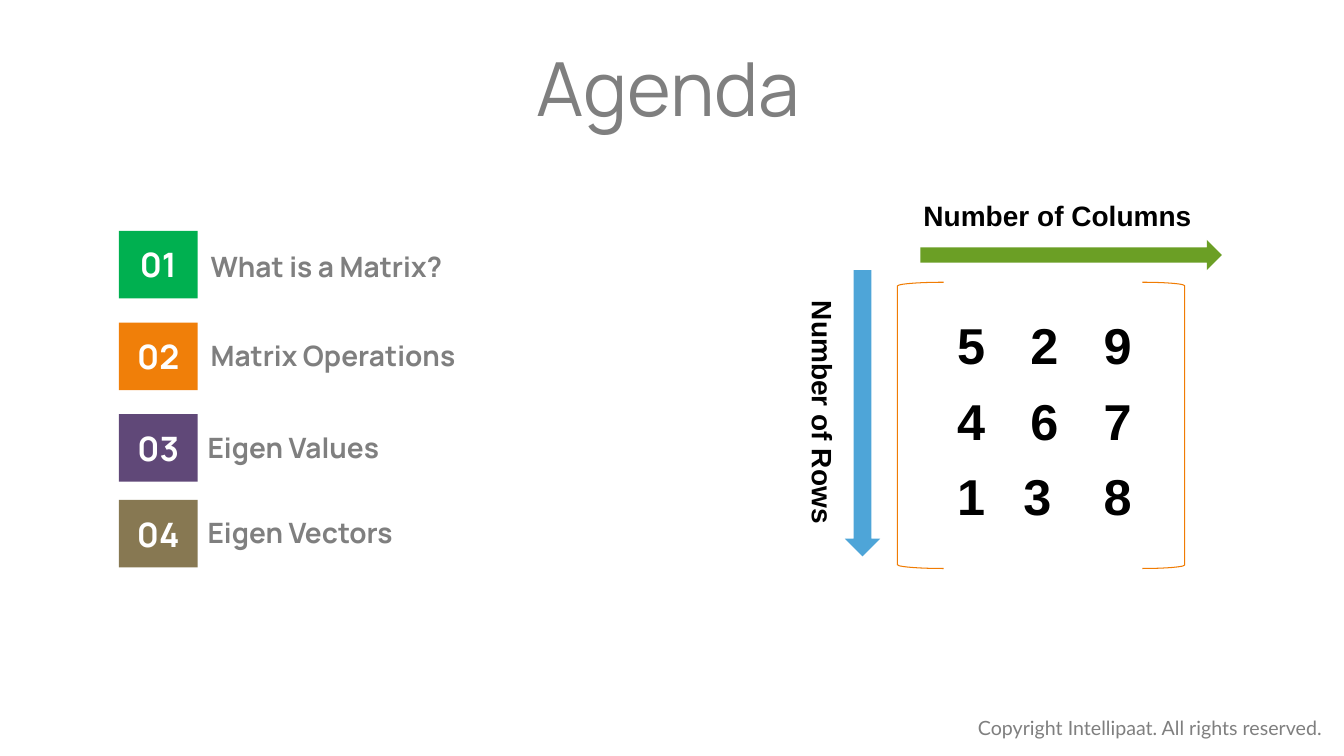
from collections import namedtuple
from dataclasses import dataclass

from pptx import Presentation
from pptx.dml.color import RGBColor
from pptx.enum.shapes import MSO_SHAPE
from pptx.enum.text import MSO_ANCHOR, PP_ALIGN
from pptx.util import Inches, Pt

RECT, RIGHT_ARROW, DOWN_ARROW = MSO_SHAPE.RECTANGLE, MSO_SHAPE.RIGHT_ARROW, MSO_SHAPE.DOWN_ARROW
LEFT_BRACKET, RIGHT_BRACKET = MSO_SHAPE.LEFT_BRACKET, MSO_SHAPE.RIGHT_BRACKET
LEFT, CENTER = PP_ALIGN.LEFT, PP_ALIGN.CENTER
TOP, MIDDLE = MSO_ANCHOR.TOP, MSO_ANCHOR.MIDDLE

Style = namedtuple("Style", "font size color bold")


@dataclass(frozen=True)
class Theme:
    title: Style = Style("Manrope", 53.3, "7F7F7F", False)
    number: Style = Style("Manrope", 24, "FFFFFF", True)
    topic: Style = Style("Manrope", 20, "7F7F7F", True)
    axis: Style = Style("Arial", 20, "000000", True)
    entry: Style = Style("Arial", 36, "000000", True)
    footer: Style = Style("Lato", 14, "7F7F7F", False)
    columns_arrow: str = "6B9F25"
    rows_arrow: str = "4EA5D8"
    bracket: str = "F07C03"
    bracket_width: float = 0.75


THEME = Theme()

# Number, topic, tile colour, tile top, label left, label drop (percent of the agenda box)
TOPICS = [
    ("01", "What is a Matrix?", "00B050", 0, 17.92, 4.19),
    ("02", "Matrix Operations", "F07F09", 27.25, 17.92, 3.29),
    ("03", "Eigen Values", "604878", 54.49, 17.26, 3.29),
    ("04", "Eigen Vectors", "877852", 79.94, 17.26, 3.29),
]
MATRIX = [["5", "2", "9"], ["4", "6", "7"], ["1", "3 ", "8"]]


@dataclass(frozen=True)
class Box:
    left: int
    top: int
    width: int
    height: int

    def inner(self, x, y, w, h):
        """Return a box inside this one, given in percent of its size."""
        return Box(self.left + round(self.width * x / 100),
                   self.top + round(self.height * y / 100),
                   round(self.width * w / 100), round(self.height * h / 100))

    def place(self):
        return self.left, self.top, self.width, self.height


def write(tf, text, style, align=LEFT, anchor=TOP):
    tf.word_wrap = True
    tf.vertical_anchor = anchor
    p = tf.paragraphs[0]
    p.alignment = align
    r = p.add_run()
    r.text = text
    r.font.name, r.font.size, r.font.bold = style.font, Pt(style.size), style.bold
    r.font.color.rgb = RGBColor.from_string(style.color)


def add_label(s, box, text, style, align=LEFT):
    tb = s.shapes.add_textbox(*box.place())
    write(tb.text_frame, text, style, align)
    return tb


def add_block(s, kind, box, color):
    sp = s.shapes.add_shape(kind, *box.place())
    sp.shadow.inherit = False
    sp.fill.solid()
    sp.fill.fore_color.rgb = RGBColor.from_string(color)
    sp.line.fill.background()
    return sp


def add_bracket(s, kind, box):
    sp = s.shapes.add_shape(kind, *box.place())
    sp.shadow.inherit = False
    sp.fill.background()
    sp.line.color.rgb = RGBColor.from_string(THEME.bracket)
    sp.line.width = Pt(THEME.bracket_width)


def add_title(s, box):
    tf = add_label(s, box, "Agenda", THEME.title, CENTER).text_frame
    tf.margin_left = 0
    tf.paragraphs[0].line_spacing = 0.9


def add_agenda(s, box):
    for number, topic, color, top, label_left, drop in TOPICS:
        tile = add_block(s, RECT, box.inner(0, top, 17.26, 20.06), color)
        write(tile.text_frame, number, THEME.number, CENTER, MIDDLE)
        add_label(s, box.inner(label_left, top + drop, 80, 13.17), topic, THEME.topic)


def add_entries(s, box):
    table = s.shapes.add_table(len(MATRIX), len(MATRIX[0]), *box.place()).table
    table.first_row = table.horz_banding = False
    for i, row in enumerate(MATRIX):
        for j, value in enumerate(row):
            cell = table.cell(i, j)
            cell.fill.background()
            cell.vertical_anchor = MIDDLE
            write(cell.text_frame, value, THEME.entry, CENTER, MIDDLE)


def add_matrix(s, box):
    # Brackets and numbers
    add_bracket(s, LEFT_BRACKET, box.inner(22.86, 23.66, 10.95, 76.34))
    add_bracket(s, RIGHT_BRACKET, box.inner(80.71, 23.66, 10, 76.34))
    add_entries(s, box.inner(31.67, 30.91, 51.9, 60.48))
    # Arrows and their labels
    add_block(s, RIGHT_ARROW, box.inner(28.33, 12.37, 71.19, 8.06), THEME.columns_arrow)
    add_block(s, DOWN_ARROW, box.inner(10.48, 20.43, 8.33, 76.34), THEME.rows_arrow)
    rows = add_label(s, box.inner(-29.76, 52.42, 70, 11.83), "Number of Rows", THEME.axis, CENTER)
    rows.rotation = 90
    add_label(s, box.inner(25.71, 0, 70, 11.83), "Number of Columns", THEME.axis, CENTER)


def add_footer(s, box):
    add_label(s, box, "Copyright Intellipaat. All rights reserved.", THEME.footer)


def main():
    prs = Presentation()
    prs.slide_width, prs.slide_height = Inches(13.33), Inches(7.5)
    s = prs.slides.add_slide(prs.slide_layouts[6])
    page = Box(0, 0, prs.slide_width, prs.slide_height)
    add_footer(s, page.inner(72.02, 94, 27.83, 4.53))
    add_title(s, page.inner(27.31, 6.27, 45.54, 11.2))
    add_agenda(s, page.inner(8.85, 30.53, 33.91, 44.53))
    add_matrix(s, page.inner(59.56, 25.6, 31.51, 49.6))
    prs.save("out.pptx")


if __name__ == "__main__":
    main()
